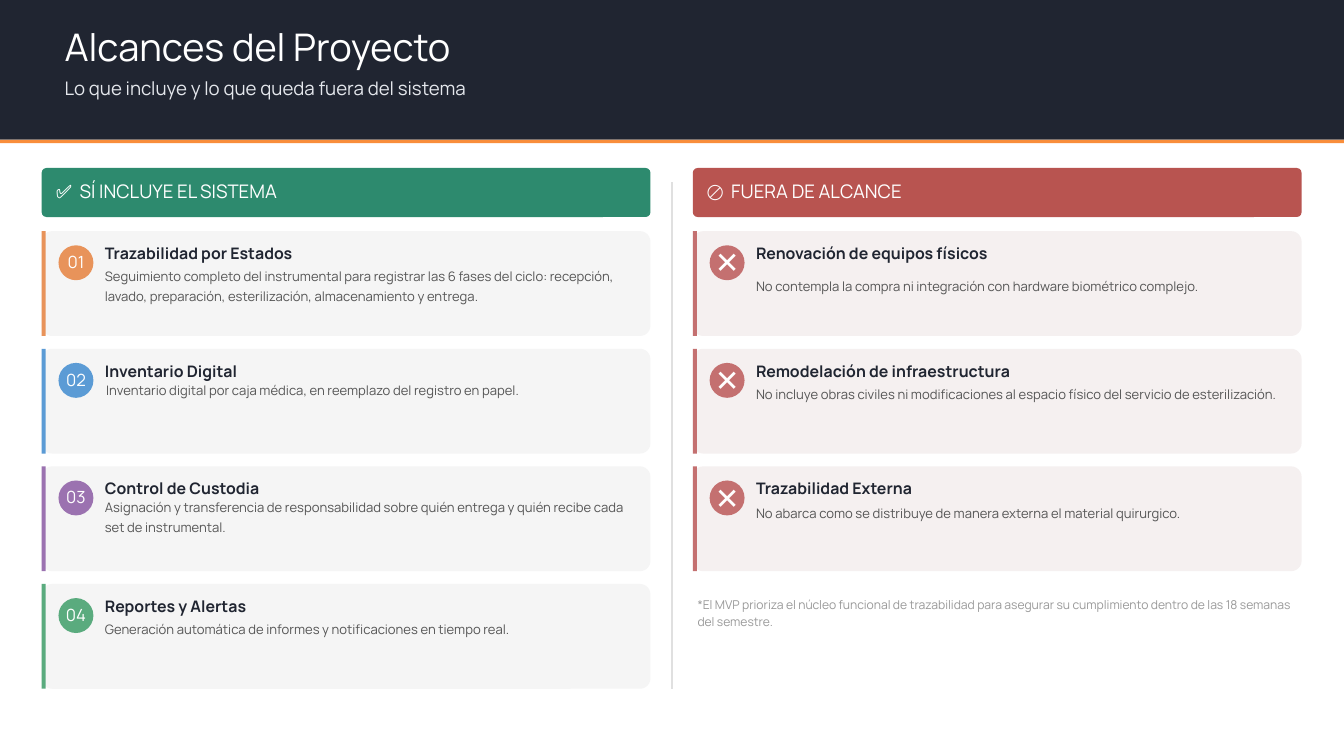
"""Build the project scope slide: what the system includes and what it leaves out."""
from lxml import etree
from pptx import Presentation
from pptx.dml.color import RGBColor
from pptx.enum.shapes import MSO_CONNECTOR, MSO_SHAPE
from pptx.enum.text import MSO_AUTO_SIZE, PP_ALIGN
from pptx.oxml.ns import qn
from pptx.util import Inches, Pt

RECTANGLE = MSO_SHAPE.RECTANGLE
ROUNDED = MSO_SHAPE.ROUNDED_RECTANGLE
OVAL = MSO_SHAPE.OVAL
STRAIGHT = MSO_CONNECTOR.STRAIGHT
GROW = MSO_AUTO_SIZE.SHAPE_TO_FIT_TEXT
LEFT, CENTER = PP_ALIGN.LEFT, PP_ALIGN.CENTER

FONT = "Manrope"
COLORS = {
    "navy": "202531", "accent": "F98E3B", "white": "FFFFFF", "subtitle": "E4E7EC",
    "included": "2D8A6E", "excluded": "B85450", "included_card": "F5F5F5",
    "excluded_card": "F5F0F0", "orange": "E8935A", "blue": "5B9BD5",
    "purple": "9B72B0", "green": "5AAB7E", "red": "C47070",
    "body": "555555", "note": "999999", "divider": "E0E0E0",
}

CARD_TOP, CARD_STEP = 3.44, 1.75
CARD_WIDTH, CARD_HEIGHT = 9.06, 1.56

# Each card: badge color, title, description, description left shift, top offset, height
COLUMNS = [
    {
        "left": 0.62, "header": "✅  SÍ INCLUYE EL SISTEMA",
        "header_color": "included", "card_color": "included_card",
        "badge": {"top": 0.26, "height": 0.36, "size": 18, "spacing": 25.2},
        "cards": [
            ("01", "orange", "Trazabilidad por Estados",
             "Seguimiento completo del instrumental para registrar las 6 fases del ciclo: "
             "recepción, lavado, preparación, esterilización, almacenamiento y entrega.",
             0, 0.5, 0.6),
            ("02", "blue", "Inventario Digital",
             "Inventario digital por caja médica, en reemplazo del registro en papel.",
             0.02, 0.44, 0.6),
            ("03", "purple", "Control de Custodia",
             "Asignación y transferencia de responsabilidad sobre quién entrega y quién "
             "recibe cada set de instrumental.",
             0, 0.44, 0.6),
            ("04", "green", "Reportes y Alertas",
             "Generación automática de informes y notificaciones en tiempo real.",
             0, 0.5, 0.31),
        ],
    },
    {
        "left": 10.31, "header": "🚫  FUERA DE ALCANCE",
        "header_color": "excluded", "card_color": "excluded_card",
        "badge": {"top": 0.11, "height": 0.61, "size": 31.6, "spacing": 44.2},
        "cards": [
            ("✕", "red", "Renovación de equipos físicos",
             "No contempla la compra ni integración con hardware biométrico complejo.",
             0, 0.64, 0.31),
            ("✕", "red", "Remodelación de infraestructura",
             "No incluye obras civiles ni modificaciones al espacio físico del servicio "
             "de esterilización.",
             0, 0.5, 0.6),
            ("✕", "red", "Trazabilidad Externa",
             "No abarca como se distribuye de manera externa el material quirurgico.",
             0, 0.53, 0.31),
        ],
    },
]

deck = Presentation()
deck.slide_width, deck.slide_height = Inches(20), Inches(11.25)
page = deck.slides.add_slide(deck.slide_layouts[6])


def add_block(kind, left, top, width, height, color):
    shape = page.shapes.add_shape(
        kind, Inches(left), Inches(top), Inches(width), Inches(height))
    shape.shadow.inherit = False
    shape.fill.solid()
    shape.fill.fore_color.rgb = RGBColor.from_string(COLORS[color])
    shape.line.fill.background()
    if kind == ROUNDED:
        shape.adjustments[0] = 0.1


def add_text(text, left, top, width, height, size, spacing, color, bold=False, align=LEFT):
    box = page.shapes.add_textbox(Inches(left), Inches(top), Inches(width), Inches(height))
    frame = box.text_frame
    frame.word_wrap = True
    frame.auto_size = GROW
    frame.margin_left = frame.margin_right = frame.margin_top = frame.margin_bottom = 0
    para = frame.paragraphs[0]
    para.alignment = align
    para.line_spacing = Pt(spacing)
    span = para.add_run()
    span.text = text
    span.font.name = FONT
    span.font.size = Pt(size)
    span.font.bold = bold
    span.font.color.rgb = RGBColor.from_string(COLORS[color])


add_block(RECTANGLE, 0, 0, 20, 2.08, "navy")
add_block(RECTANGLE, 0, 2.08, 20, 0.05, "accent")
add_text("Alcances del Proyecto", 0.96, 0.23, 6.25, 0.79, 40.7, 57, "white")
add_text("Lo que incluye y lo que queda fuera del sistema",
         0.96, 1.15, 7.29, 0.36, 20, 24, "subtitle")

for column in COLUMNS:
    left, badge = column["left"], column["badge"]
    add_block(ROUNDED, left, 2.5, CARD_WIDTH, 0.73, column["header_color"])
    add_text(column["header"], left + 0.21, 2.62, 8.65, 0.4, 20, 28, "white")
    for row, card in enumerate(column["cards"]):
        mark, color, title, detail, shift, offset, height = card
        top = CARD_TOP + row * CARD_STEP
        add_block(ROUNDED, left, top, CARD_WIDTH, CARD_HEIGHT, column["card_color"])
        add_block(RECTANGLE, left, top, 0.06, CARD_HEIGHT, color)
        add_block(OVAL, left + 0.25, top + 0.21, 0.52, 0.52, color)
        add_text(mark, left + 0.25, top + badge["top"], 0.52, badge["height"],
                 badge["size"], badge["spacing"], "white", align=CENTER)
        add_text(title, left + 0.94, top + 0.14, 7.92, 0.34, 17, 23.8, "navy", bold=True)
        add_text(detail, left + 0.94 + shift, top + offset, 7.92, height, 14, 21, "body")

divider = page.shapes.add_connector(
    STRAIGHT, Inches(10), Inches(2.71), Inches(10), Inches(10.25))
divider.line.color.rgb = RGBColor.from_string(COLORS["divider"])
divider.line.width = Pt(1.5)
etree.SubElement(divider._element.spPr, qn("a:effectLst"))

add_text("*El MVP prioriza el núcleo funcional de trazabilidad para asegurar su cumplimiento "
         "dentro de las 18 semanas del semestre.",
         10.38, 8.86, 9, 0.76, 13, 18.2, "note")

deck.save("out.pptx")
